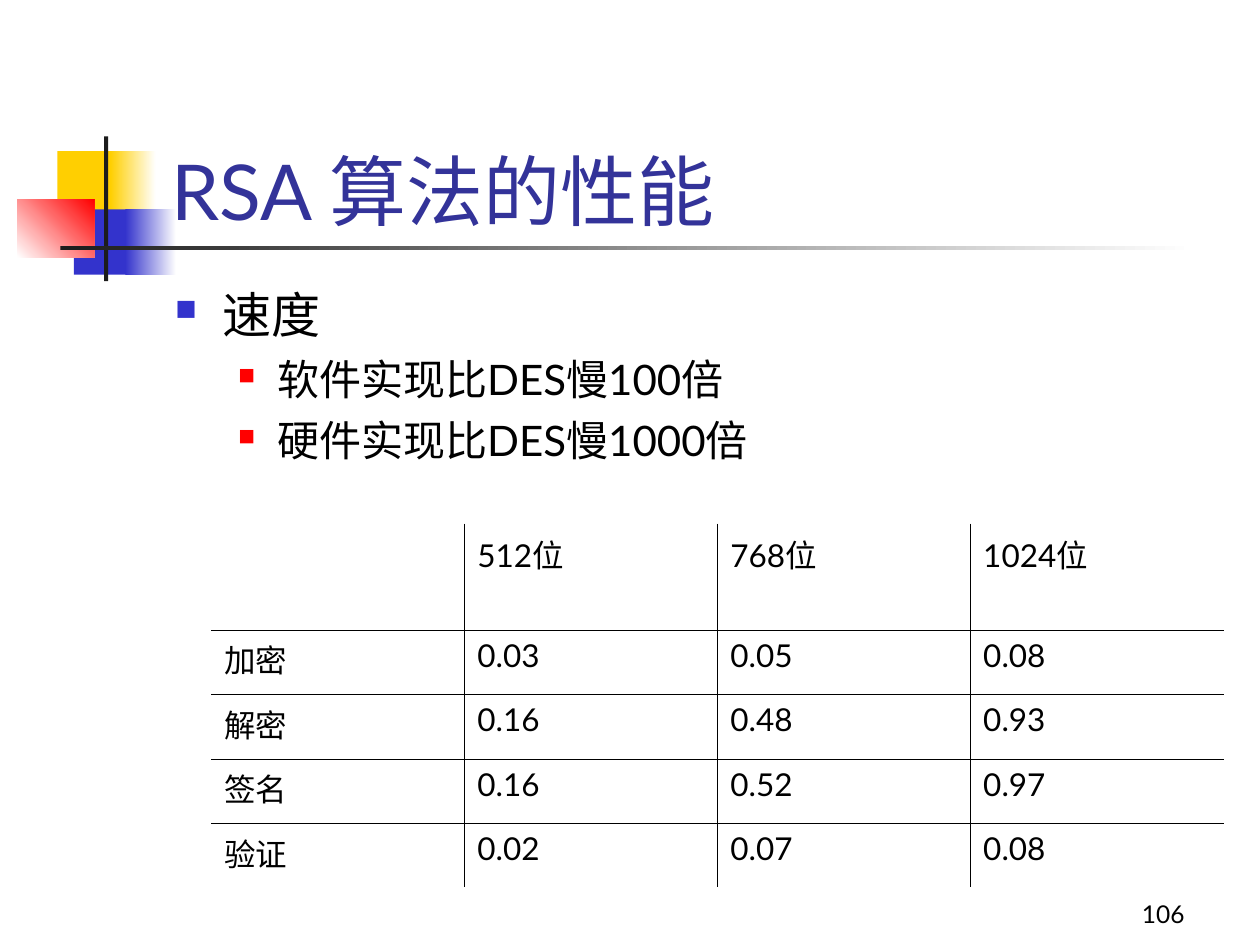
from lxml.etree import SubElement
from pptx import Presentation
from pptx.dml.color import RGBColor
from pptx.enum.shapes import MSO_SHAPE
from pptx.enum.text import MSO_ANCHOR, PP_ALIGN
from pptx.oxml.ns import qn
from pptx.util import Cm, Pt

FONT = "Lato"
BLACK = "000000"
WHITE = "FFFFFF"
YELLOW = "FFCF01"
BLUE = "3333CC"
RED = "FF0000"
CHARCOAL = "1C1C1C"


def color(value):
    return RGBColor.from_string(value)


def style_text(para, size, value):
    para.font.name = FONT
    para.font.size = Pt(size)
    para.font.color.rgb = color(value)


def add_block(page, left, top, width, height, start, end=None, angle=0):
    block = page.shapes.add_shape(MSO_SHAPE.RECTANGLE, Cm(left), Cm(top), Cm(width), Cm(height))
    block.shadow.inherit = False
    block.line.fill.background()
    if end is None:
        block.fill.solid()
        block.fill.fore_color.rgb = color(start)
        return
    block.fill.gradient()
    block.fill.gradient_angle = angle
    for stop, value in zip(block.fill.gradient_stops, (start, end)):
        stop.color.rgb = color(value)


def add_ornament(page, left, top):
    add_block(page, left + 0.81, top + 0.3, 1.22, 1.32, YELLOW)
    add_block(page, left + 1.88, top + 0.3, 0.91, 1.32, YELLOW, WHITE)
    add_block(page, left + 1.14, top + 1.47, 1.17, 1.32, BLUE)
    add_block(page, left + 2.18, top + 1.47, 1.02, 1.32, BLUE, WHITE)
    add_block(page, left, top + 1.27, 1.55, 1.17, WHITE, RED, 45)
    add_block(page, left + 1.75, top, 0.08, 2.92, CHARCOAL)
    add_block(page, left + 0.87, top + 2.2, 22.86, 0.09, CHARCOAL, WHITE)


def add_text_box(page, left, top, width, height, anchor=MSO_ANCHOR.TOP):
    box = page.shapes.add_textbox(Cm(left), Cm(top), Cm(width), Cm(height))
    box.text_frame.word_wrap = True
    box.text_frame.vertical_anchor = anchor
    return box.text_frame


def add_line(page, left, top, width, height, text, size, value, align):
    frame = add_text_box(page, left, top, width, height, MSO_ANCHOR.BOTTOM)
    frame.text = text
    para = frame.paragraphs[0]
    para.alignment = align
    style_text(para, size, value)


def add_bullet(para, value, percent, margin, hanging):
    properties = para._p.get_or_add_pPr()
    properties.set("marL", str(Cm(margin)))
    properties.set("indent", str(-Cm(hanging)))
    SubElement(SubElement(properties, qn("a:buClr")), qn("a:srgbClr"), val=value)
    SubElement(properties, qn("a:buSzPct"), val=str(percent * 1000))
    SubElement(properties, qn("a:buChar"), char="■")


def add_outline(page, left, top, width, height, heading, details):
    frame = add_text_box(page, left, top, width, height)
    para = frame.paragraphs[0]
    para.text = heading
    add_bullet(para, BLUE, 60, 0.95, 0.95)
    style_text(para, 28, BLACK)
    for detail in details:
        para = frame.add_paragraph()
        para.text = detail
        para.level = 1
        para.space_before = Pt(6)
        add_bullet(para, RED, 55, 2.06, 0.79)
        style_text(para, 24, BLACK)


def add_border(cell, side):
    line = SubElement(cell._tc.get_or_add_tcPr(), qn(f"a:{side}"), w=str(Pt(0.45)))
    SubElement(SubElement(line, qn("a:solidFill")), qn("a:srgbClr"), val=BLACK)


def add_timings(page, left, top, width, header_height, row_height, rows):
    last_row, last_column = len(rows) - 1, len(rows[0]) - 1
    height = header_height + row_height * last_row
    table = page.shapes.add_table(
        len(rows), len(rows[0]), Cm(left), Cm(top), Cm(width), Cm(height)
    ).table
    table.first_row = table.horz_banding = False
    for index, row in enumerate(table.rows):
        row.height = Cm(row_height if index else header_height)
    for i, values in enumerate(rows):
        for j, value in enumerate(values):
            cell = table.cell(i, j)
            inner = {"lnL": j > 0, "lnR": j < last_column, "lnT": i > 0, "lnB": i < last_row}
            for side, drawn in inner.items():
                if drawn:
                    add_border(cell, side)
            cell.fill.background()
            cell.text_frame.text = value
            style_text(cell.text_frame.paragraphs[0], 18, BLACK)


def main():
    deck = Presentation()
    deck.slide_width, deck.slide_height = Cm(25.4), Cm(19.05)
    page = deck.slides.add_slide(deck.slide_layouts[6])
    add_ornament(page, 0.35, 2.75)
    add_line(page, 18.85, 17.58, 5.28, 1.27, "106", 14, BLACK, PP_ALIGN.RIGHT)
    add_line(page, 3.2, 1.7, 21.64, 3.18, "RSA 算法的性能", 44, "333399", PP_ALIGN.LEFT)
    add_outline(page, 3.28, 5.61, 19.25, 4.72, "速度",
                ["软件实现比DES慢100倍", "硬件实现比DES慢1000倍"])
    add_timings(page, 4.27, 10.57, 20.4, 2.13, 1.3, [
        ["", "512位", "768位", "1024位"],
        ["加密", "0.03", "0.05", "0.08"],
        ["解密", "0.16", "0.48", "0.93"],
        ["签名", "0.16", "0.52", "0.97"],
        ["验证", "0.02", "0.07", "0.08"],
    ])
    deck.save("out.pptx")


if __name__ == "__main__":
    main()
